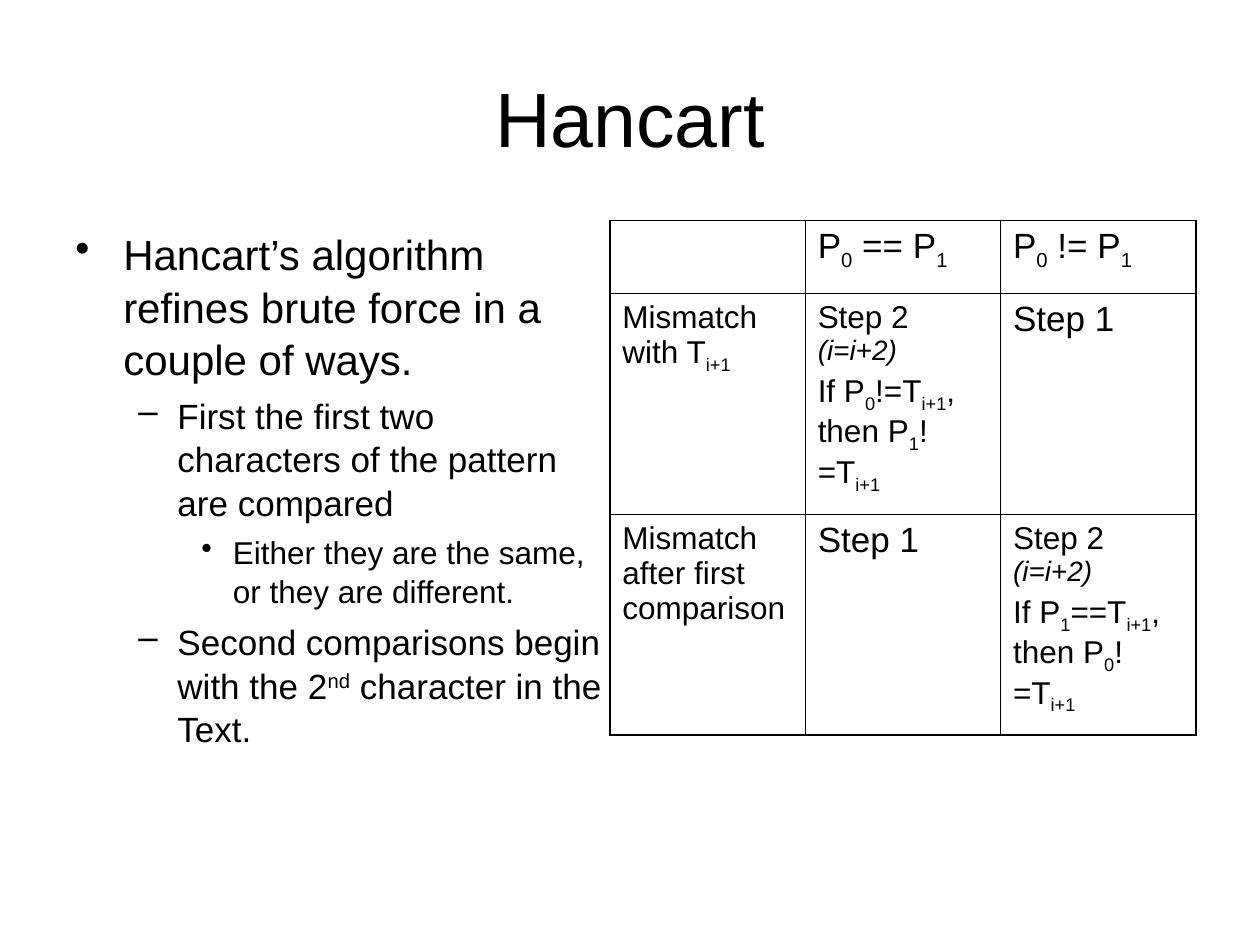
from lxml import etree
from pptx import Presentation
from pptx.dml.color import RGBColor
from pptx.enum.text import MSO_ANCHOR, PP_ALIGN
from pptx.oxml.ns import qn
from pptx.util import Inches, Pt

BLACK = RGBColor(0, 0, 0)
MIDDLE = MSO_ANCHOR.MIDDLE
CENTER = PP_ALIGN.CENTER
FONT = "Arial"
THIN, THICK = 0.45, 1.08
SHIFTS = {"_": "-25000", "^": "30000"}

LEVELS = [
    (24, 6, 0.38, 0.38, "•"),
    (20, 5, 0.81, 0.31, "–"),
    (18, 4.5, 1.25, 0.25, "•"),
]
POINTS = [
    (0, "Hancart’s algorithm refines brute force in a couple of ways."),
    (1, "First the first two characters of the pattern are compared"),
    (2, "Either they are the same, or they are different."),
    (1, "Second comparisons begin with the 2|^nd| character in the Text."),
]

STEP = (18, 4, "Step 2 |/(i=i+2)")
SINGLE = [(20, 5, "Step 1")]
ROWS = [
    [[], [(20, 5, "P|_0| == P|_1")], [(20, 5, "P|_0| != P|_1")]],
    [
        [(18, 4.5, "Mismatch with T|_i+1")],
        [STEP, (18, 4.5, "If P|_0|!=T|_i+1|, then P|_1|!=T|_i+1")],
        SINGLE,
    ],
    [
        [(18, 4.5, "Mismatch after first comparison")],
        SINGLE,
        [STEP, (18, 4.5, "If P|_1|==T|_i+1|, then P|_0|!=T|_i+1")],
    ],
]
HEIGHTS = [0.58, 1.65, 1.65]
WIDTH = 1.55


def write(para, text, size, before=0):
    para.font.name = FONT
    para.font.size = Pt(size)
    para.font.color.rgb = BLACK
    para.space_before = Pt(before)
    for part in text.split("|"):
        run = para.add_run()
        mark = part[0]
        run.text = part[1:] if mark in "_^/" else part
        if mark in SHIFTS:
            run.font._element.set("baseline", SHIFTS[mark])
        elif mark == "/":
            run.font.italic = True
            run.font.size = Pt(16)


def next_para(frame, index):
    return frame.add_paragraph() if index else frame.paragraphs[0]


def add_box(slide, left, top, width, height):
    box = slide.shapes.add_textbox(
        Inches(left), Inches(top), Inches(width), Inches(height)
    )
    box.text_frame.word_wrap = True
    return box.text_frame


def add_title(slide, text):
    frame = add_box(slide, 0.5, 0.3, 9, 1.25)
    frame.vertical_anchor = MIDDLE
    para = frame.paragraphs[0]
    para.alignment = CENTER
    write(para, text, 44)


def add_list(slide, points):
    frame = add_box(slide, 0.5, 1.75, 4.42, 4.95)
    for index, (level, text) in enumerate(points):
        size, before, left, hang, sign = LEVELS[level]
        para = next_para(frame, index)
        para.level = level
        para.line_spacing = 1.04
        write(para, text, size, before)
        props = para._p.get_or_add_pPr()
        props.set("marL", str(Inches(left)))
        props.set("indent", str(-Inches(hang)))
        bullet = etree.Element(qn("a:buChar"), char=sign)
        props.find(qn("a:defRPr")).addprevious(bullet)


def add_edge(cell, side, width):
    props = cell._tc.get_or_add_tcPr()
    line = etree.SubElement(props, qn(f"a:ln{side}"), w=str(Pt(width)))
    fill = etree.SubElement(line, qn("a:solidFill"))
    etree.SubElement(fill, qn("a:srgbClr"), val=str(BLACK))


def add_grid(slide, rows):
    count, last = len(rows), len(rows[0]) - 1
    table = slide.shapes.add_table(
        count, last + 1, Inches(4.84), Inches(1.75),
        Inches(WIDTH * (last + 1)), Inches(sum(HEIGHTS)),
    ).table
    table.first_row = table.horz_banding = False
    for col in table.columns:
        col.width = Inches(WIDTH)
    for r, row in enumerate(rows):
        table.rows[r].height = Inches(HEIGHTS[r])
        for c, lines in enumerate(row):
            cell = table.cell(r, c)
            outer = {"L": c == 0, "R": c == last, "T": r == 0, "B": r == count - 1}
            for side, edge in outer.items():
                add_edge(cell, side, THICK if edge else THIN)
            cell.fill.background()
            for index, (size, before, text) in enumerate(lines):
                write(next_para(cell.text_frame, index), text, size, before)


def main():
    deck = Presentation()
    deck.slide_width = Inches(10)
    deck.slide_height = Inches(7.5)
    slide = deck.slides.add_slide(deck.slide_layouts[6])
    add_title(slide, "Hancart")
    add_list(slide, POINTS)
    add_grid(slide, ROWS)
    deck.save("out.pptx")


if __name__ == "__main__":
    main()
